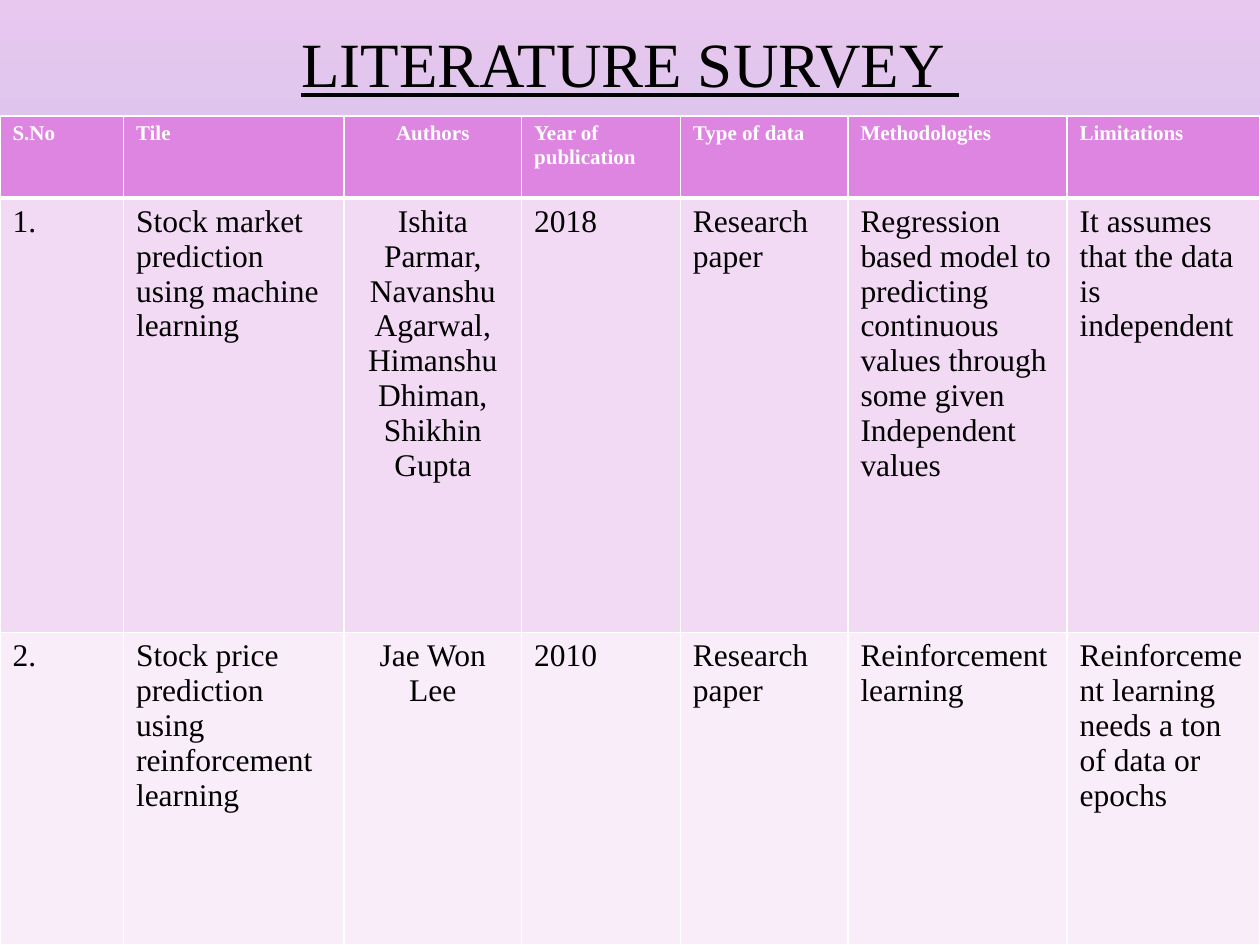
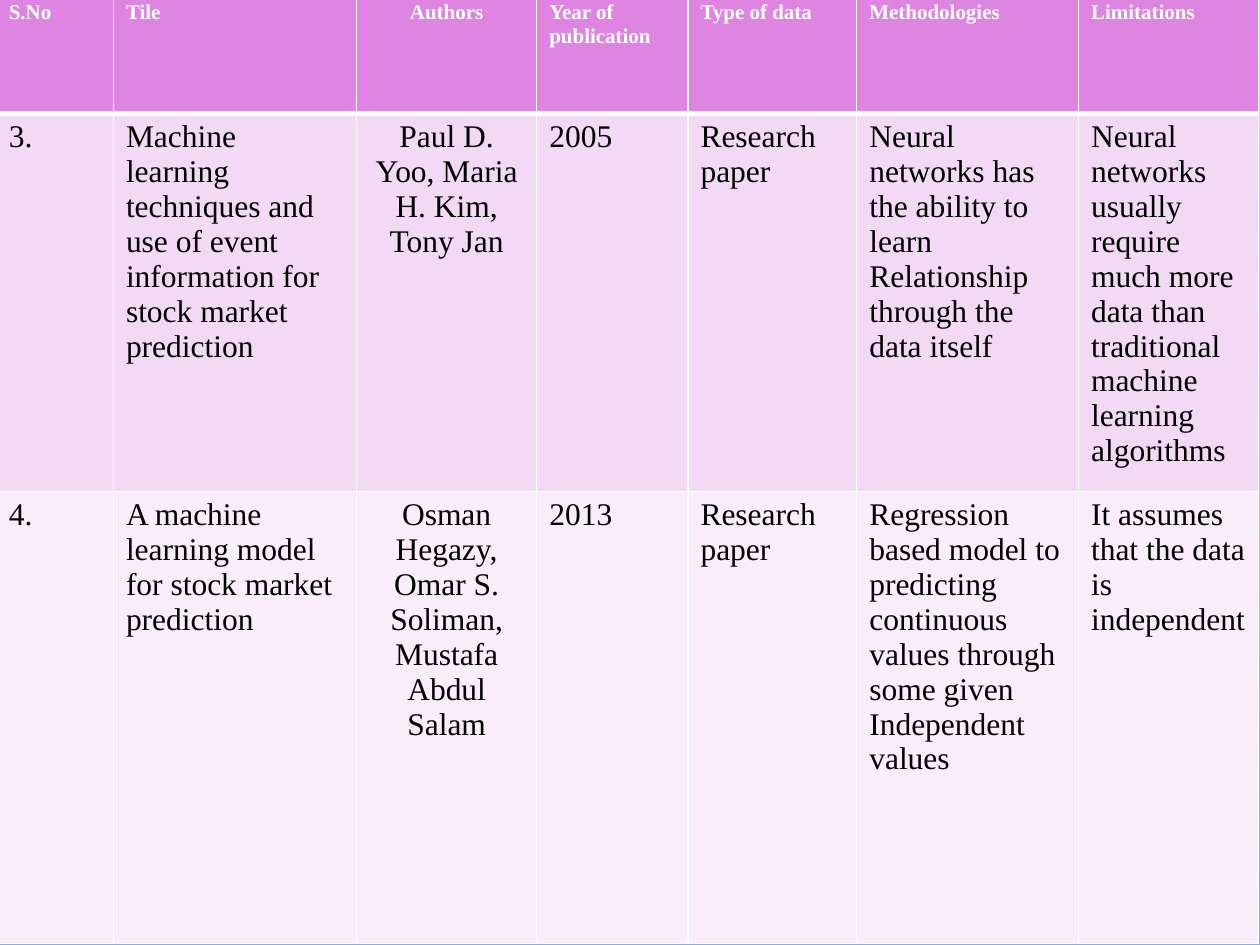
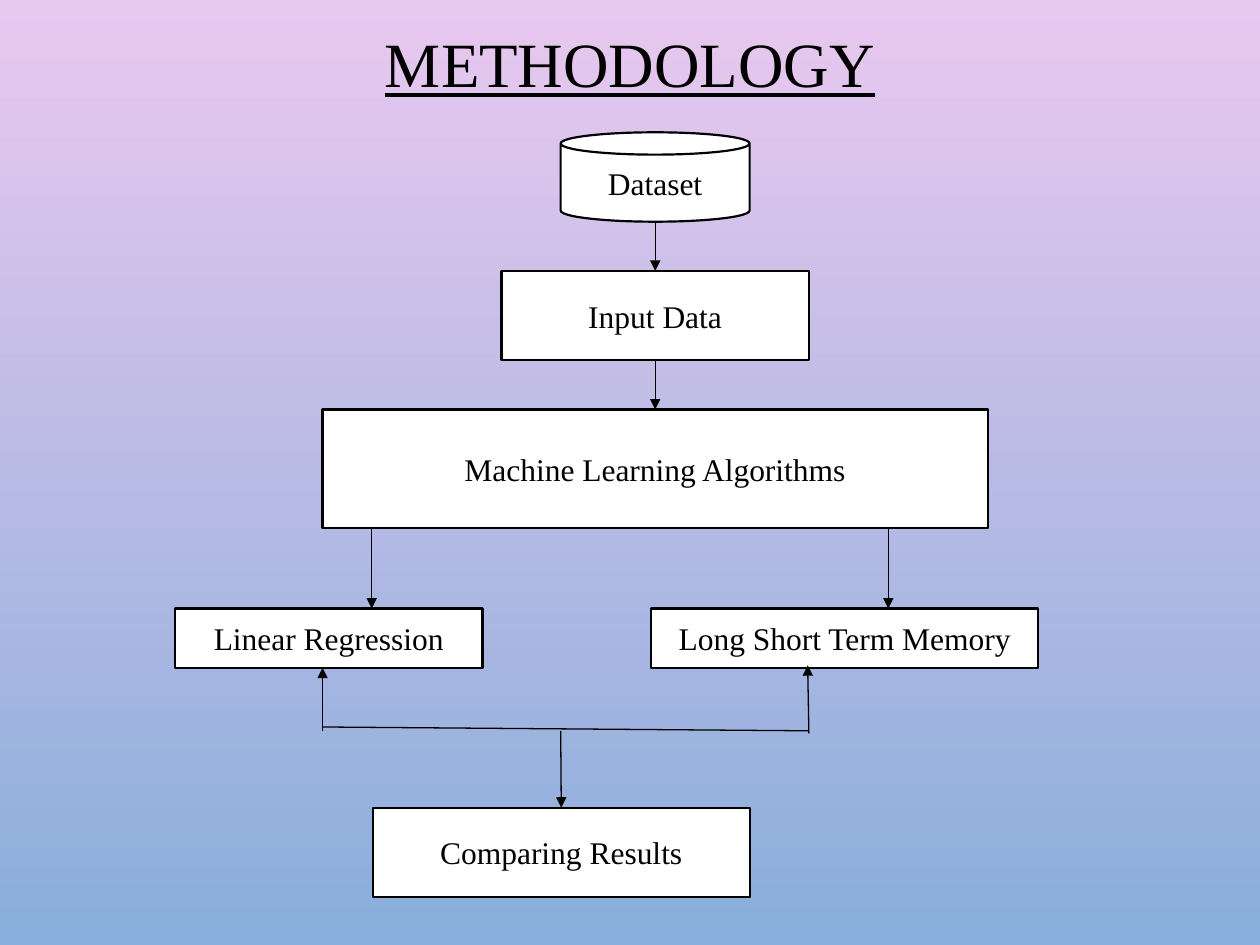
from lxml import etree
from pptx import Presentation
from pptx.dml.color import RGBColor
from pptx.enum import shapes, text
from pptx.oxml.ns import qn
from pptx.util import Inches, Pt

# Shared look
FONT = "Times New Roman"
BLACK, WHITE = "000000", "FFFFFF"
SKY = ("E9C8EF", "89AEDB")
HEADER_FILL = "DE85E1"
BAND_FILLS = ("F2D9F4", "F9EDF9")
TITLE_BOX = (0.75, -0.34, 8.5, 1.75)

# Literature survey
HEADINGS = ["S.No", "Tile", "Authors", "Year of publication", "Type of data",
            "Methodologies", "Limitations"]
AUTHORS = HEADINGS.index("Authors")
REGRESSION = ("Regression based model to predicting continuous values through some given\n"
              "Independent values")
INDEPENDENT = "It assumes that the data is independent"
SURVEYS = [
    dict(title="LITERATURE SURVEY ", corner=(0, 0.92),
         widths=(0.98, 1.75, 1.41, 1.26, 1.33, 1.74, 1.53), heights=(0.65, 3.45, 2.48),
         papers=[
             ["1.", "Stock market prediction using machine learning",
              "Ishita Parmar, Navanshu Agarwal, Himanshu Dhiman, Shikhin Gupta",
              "2018", "Research paper", REGRESSION, INDEPENDENT],
             ["2.", "Stock price prediction using reinforcement learning", "Jae Won Lee",
              "2010", "Research paper", "Reinforcement learning",
              "Reinforcement learning needs a ton of data or epochs"]]),
    dict(title=None, corner=(-0.03, -0.04),
         widths=(0.93, 1.93, 1.43, 1.2, 1.34, 1.76, 1.43), heights=(0.94, 3, 3.59),
         papers=[
             ["3.", "Machine learning techniques and use of event information for stock market\n"
              "prediction", "Paul D. Yoo, Maria H. Kim, Tony Jan", "2005", "Research paper",
              "Neural networks has the ability to learn\nRelationship through the data itself",
              "Neural networks usually require much more data than traditional machine "
              "learning algorithms"],
             ["4.", "A machine learning model for stock market\nprediction",
              "Osman Hegazy, Omar S. Soliman, Mustafa Abdul Salam", "2013", "Research paper",
              REGRESSION, INDEPENDENT]]),
]

# Methodology flow: label -> left, top, width, height
STEPS = {
    "Dataset": (4.45, 1.05, 1.5, 0.71),
    "Input Data": (3.98, 2.15, 2.44, 0.71),
    "Machine Learning Algorithms": (2.56, 3.25, 5.28, 0.94),
    "Linear Regression": (1.39, 4.83, 2.44, 0.47),
    "Long Short Term Memory": (5.17, 4.83, 3.07, 0.47),
    "Comparing Results": (2.96, 6.41, 2.99, 0.71),
}
# from, to, arrow, step whose bottom it leaves, step whose top it meets
LINKS = [
    ((5.2, 1.76), (5.2, 2.15), True, None, "Input Data"),
    ((5.2, 2.86), (5.2, 3.25), True, "Input Data", "Machine Learning Algorithms"),
    ((2.95, 4.2), (2.95, 4.83), True, None, None),
    ((7.05, 4.2), (7.05, 4.83), True, None, None),
    ((2.56, 5.8), (2.56, 5.3), True, None, None),
    ((2.56, 5.77), (6.42, 5.8), False, None, None),
    ((6.42, 5.82), (6.41, 5.28), True, None, None),
    ((4.45, 5.8), (4.45, 6.41), True, None, "Comparing Results"),
]


def rgb(code):
    return RGBColor.from_string(code)


def inches(values):
    return [Inches(value) for value in values]


def write(frame, content, size, colour=BLACK, bold=False, underline=False, centred=True):
    for number, line in enumerate(content.split("\n")):
        paragraph = frame.add_paragraph() if number else frame.paragraphs[0]
        paragraph.alignment = text.PP_ALIGN.CENTER if centred else text.PP_ALIGN.LEFT
        run = paragraph.add_run()
        run.text = line
        run.font.name, run.font.size = FONT, Pt(size)
        run.font.bold, run.font.underline = bold, underline
        run.font.color.rgb = rgb(colour)


def new_slide(deck, title):
    slide = deck.slides.add_slide(deck.slide_layouts[5 if title else 6])
    if title:
        heading = slide.shapes.title
        heading.left, heading.top, heading.width, heading.height = inches(TITLE_BOX)
        heading.text_frame.vertical_anchor = text.MSO_ANCHOR.MIDDLE
        write(heading.text_frame, title, 36, underline=True)
        heading.text_frame.paragraphs[0].line_spacing = 0.9
    return slide


def border(cell, side, width):
    edge = etree.SubElement(cell._tc.get_or_add_tcPr(), qn(f"a:ln{side}"), w=str(Pt(width)))
    fill = etree.SubElement(edge, qn("a:solidFill"))
    etree.SubElement(fill, qn("a:srgbClr"), val=WHITE)


def add_survey(deck, survey):
    slide = new_slide(deck, survey["title"])
    rows = [HEADINGS] + survey["papers"]
    widths, heights = survey["widths"], survey["heights"]
    box = inches((*survey["corner"], sum(widths), sum(heights)))
    table = slide.shapes.add_table(len(rows), len(HEADINGS), *box).table
    table.horz_banding = False
    for column, width in zip(table.columns, widths):
        column.width = Inches(width)
    for r, entries in enumerate(rows):
        table.rows[r].height = Inches(heights[r])
        header = r == 0
        for c, entry in enumerate(entries):
            cell = table.cell(r, c)
            for side, width in (("L", 1), ("R", 1), ("T", 3 if r == 1 else 1),
                                ("B", 3 if header else 1)):
                border(cell, side, width)
            cell.fill.solid()
            cell.fill.fore_color.rgb = rgb(HEADER_FILL if header else BAND_FILLS[r - 1])
            write(cell.text_frame, entry, 12 if header else 18,
                  WHITE if header else BLACK, bold=header, centred=c == AUTHORS)


def add_step(slide, label, box):
    kind = shapes.MSO_SHAPE.CAN if label == "Dataset" else shapes.MSO_SHAPE.RECTANGLE
    step = slide.shapes.add_shape(kind, *inches(box))
    step.shadow.inherit = False
    step.fill.solid()
    step.fill.fore_color.rgb = rgb(WHITE)
    step.line.color.rgb = rgb(BLACK)
    step.line.width = Pt(1.25)
    step.text_frame.word_wrap = True
    step.text_frame.vertical_anchor = text.MSO_ANCHOR.MIDDLE
    write(step.text_frame, label, 18)
    return step


def add_link(slide, start, end, arrow, source, target):
    link = slide.shapes.add_connector(shapes.MSO_CONNECTOR.STRAIGHT, *inches(start + end))
    if source:
        link.begin_connect(source, 2)
    if target:
        link.end_connect(target, 0)
    link.line.color.rgb = rgb(BLACK)
    link.line.width = Pt(0.75)
    if arrow:
        etree.SubElement(link.line._get_or_add_ln(), qn("a:tailEnd"), type="triangle")
    etree.SubElement(link._element.spPr, qn("a:effectLst"))


def add_methodology(deck):
    slide = new_slide(deck, "METHODOLOGY")
    steps = {label: add_step(slide, label, box) for label, box in STEPS.items()}
    for start, end, arrow, source, target in LINKS:
        add_link(slide, start, end, arrow, steps.get(source), steps.get(target))


def main():
    deck = Presentation()
    deck.slide_width, deck.slide_height = Inches(10), Inches(7.5)
    # Background gradient, top to bottom, for every slide
    sky = deck.slide_master.background.fill
    sky.gradient()
    sky.gradient_angle = 270
    for stop, colour in zip(sky.gradient_stops, SKY):
        stop.color.rgb = rgb(colour)
    for survey in SURVEYS:
        add_survey(deck, survey)
    add_methodology(deck)
    deck.save("out.pptx")


if __name__ == "__main__":
    main()
